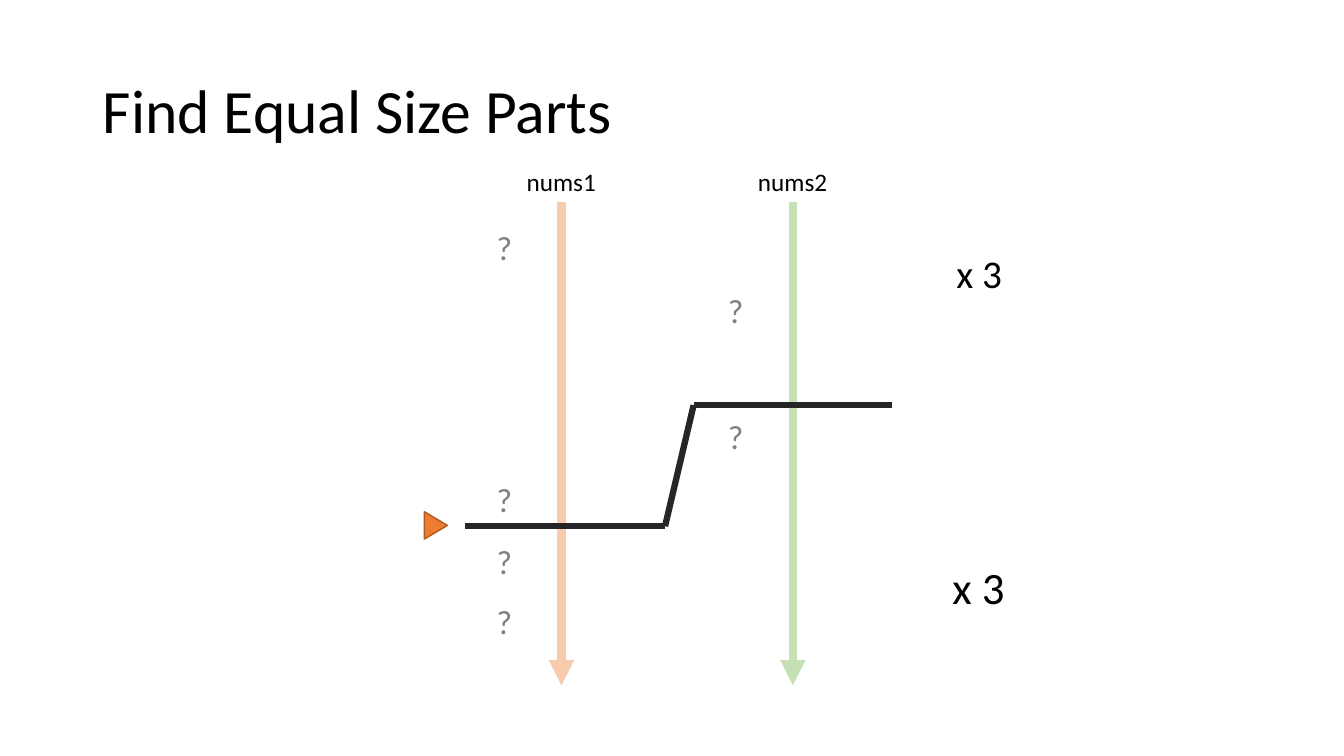
import pptx
import pptx.util
import pptx.dml.color
import pptx.enum.shapes
import pptx.enum.text
import pptx.oxml.ns
from lxml import etree

Cm = pptx.util.Cm
Pt = pptx.util.Pt
Align = pptx.enum.text.PP_ALIGN
Shape = pptx.enum.shapes.MSO_SHAPE
qn = pptx.oxml.ns.qn

COLORS = {
    "text": "000000",
    "mark": "808080",
    "cut": "262626",
    "first": "F8CBAD",
    "second": "C5E0B4",
    "point": "ED7D31",
    "edge": "AF5C24",
}


def color(name):
    return pptx.dml.color.RGBColor.from_string(COLORS[name])


def style(para, size, name, align):
    para.alignment = align
    para.font.name = "Calibri"
    para.font.size = Pt(size)
    para.font.color.rgb = color(name)


def title(slide, text):
    box = slide.shapes.title
    box.left, box.top, box.width, box.height = Cm(2.34), Cm(1.02), Cm(29.21), Cm(3.68)
    frame = box.text_frame
    frame.text = text
    frame.vertical_anchor = pptx.enum.text.MSO_ANCHOR.MIDDLE
    para = frame.paragraphs[0]
    para.line_spacing = 0.9
    style(para, 44, "text", Align.LEFT)


def label(slide, text, area, size, name="text", align=Align.CENTER):
    box = slide.shapes.add_textbox(*map(Cm, area))
    frame = box.text_frame
    frame.word_wrap = False
    frame.auto_size = pptx.enum.text.MSO_AUTO_SIZE.SHAPE_TO_FIT_TEXT
    frame.text = text
    style(frame.paragraphs[0], size, name, align)


def line(slide, start, end, name, width, arrow=False):
    kind = pptx.enum.shapes.MSO_CONNECTOR.STRAIGHT
    link = slide.shapes.add_connector(kind, *map(Cm, start + end))
    link.line.color.rgb = color(name)
    link.line.width = Pt(width)
    if arrow:
        etree.SubElement(link.line._get_or_add_ln(), qn("a:tailEnd"), type="triangle")
    etree.SubElement(link._element.spPr, qn("a:effectLst"))


def pointer(slide, area):
    mark = slide.shapes.add_shape(Shape.ISOSCELES_TRIANGLE, *map(Cm, area))
    mark.rotation = 90
    mark.shadow.inherit = False
    mark.fill.solid()
    mark.fill.fore_color.rgb = color("point")
    mark.line.color.rgb = color("edge")
    mark.line.width = Pt(1)


def column(slide, text, x, name, marks):
    line(slide, (x, 5.1), (x, 17.27), name, 6, arrow=True)
    label(slide, text, (x - 1.15, 4.06, 2.29, 1.02), 18)
    for y in marks:
        label(slide, "?", (x - 1.91, y, 0.94, 1.27), 24, "mark")


def main():
    deck = pptx.Presentation()
    deck.slide_width, deck.slide_height = Cm(33.87), Cm(19.05)
    slide = deck.slides.add_slide(deck.slide_layouts[5])
    title(slide, "Find Equal Size Parts")
    column(slide, "nums1", 14.15, "first", (5.59, 11.94, 13.51, 15.01))
    column(slide, "nums2", 19.98, "second", (7.19, 10.36))
    cut = [(11.73, 13.26), (16.76, 13.26), (17.48, 10.21), (22.48, 10.21)]
    for start, end in zip(cut, cut[1:]):
        line(slide, start, end, "cut", 4.5)
    pointer(slide, (10.64, 12.95, 0.69, 0.58))
    label(slide, "x 3", (23.85, 6.15, 1.68, 1.45), 28, align=Align.LEFT)
    label(slide, "x 3", (23.75, 13.97, 1.85, 1.63), 32, align=Align.LEFT)
    deck.save("out.pptx")


if __name__ == "__main__":
    main()
